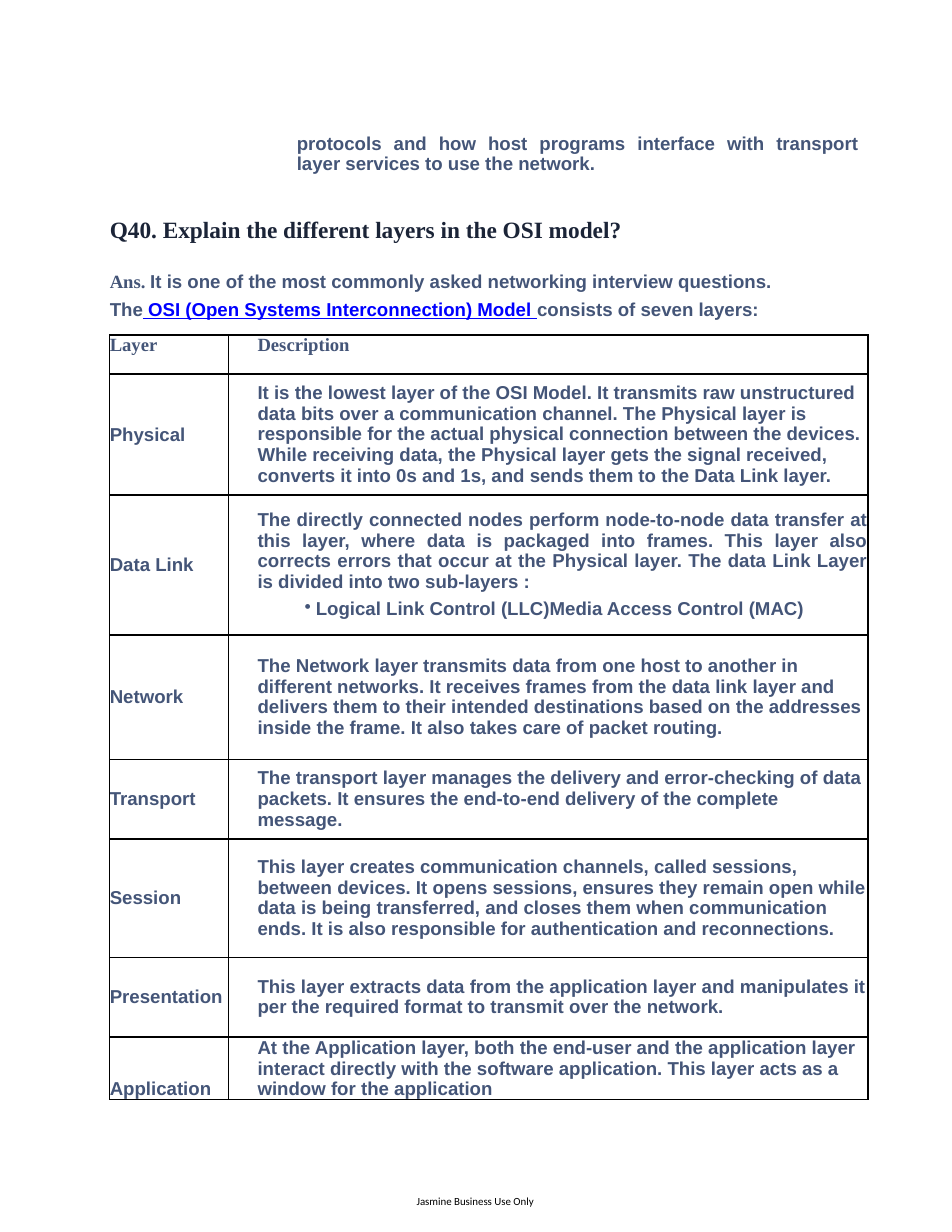
from lxml import etree
from pptx import Presentation
from pptx.dml.color import RGBColor
from pptx.enum.text import MSO_ANCHOR, MSO_AUTO_SIZE, PP_ALIGN
from pptx.oxml.ns import qn
from pptx.util import Inches, Pt

SLATE, NAVY, LINK, BLACK = "445578", "1B2437", "0000FF", "000000"
SANS, SERIF = "Arial", "Times New Roman"
LEFT = 0.98
LEADING = 13.2
DESCRIPTION_INDENT = 0.26
COLUMN_WIDTHS = [1.06, 5.71]
ROW_HEIGHTS = [0.35, 1.08, 1.25, 1.11, 0.71, 1.06, 0.71, 0.56]

LAYERS = [
    ("Physical", "It is the lowest layer of the OSI Model. It transmits raw unstructured data bits over a "
     "communication channel. The Physical layer is responsible for the actual physical connection between "
     "the devices. While receiving data, the Physical layer gets the signal received, converts it into 0s "
     "and 1s, and sends them to the Data Link layer."),
    ("Data Link", "The directly connected nodes perform node-to-node data transfer at this layer, where data "
     "is packaged into frames. This layer also corrects errors that occur at the Physical layer. The data "
     "Link Layer is divided into two sub-layers :"),
    ("Network", "The Network layer transmits data from one host to another in different networks. It receives "
     "frames from the data link layer and delivers them to their intended destinations based on the "
     "addresses inside the frame. It also takes care of packet routing."),
    ("Transport", "The transport layer manages the delivery and error-checking of data packets. It ensures "
     "the end-to-end delivery of the complete message."),
    ("Session", "This layer creates communication channels, called sessions, between devices. It opens "
     "sessions, ensures they remain open while data is being transferred, and closes them when "
     "communication ends. It is also responsible for authentication and reconnections."),
    ("Presentation", "This layer extracts data from the application layer and manipulates it per the required "
     "format to transmit over the network."),
    ("Application", "At the Application layer, both the end-user and the application layer interact directly "
     "with the software application. This layer acts as a window for the application"),
]
SUBLAYERS = "Logical Link Control (LLC)Media Access Control (MAC)"


def color(hex_value):
    return RGBColor.from_string(hex_value)


def style_font(font, face=SANS, size=12, hex_value=SLATE, bold=True):
    font.name, font.size, font.bold = face, Pt(size), bold
    font.color.rgb = color(hex_value)


def clear_margins(holder):
    """Remove the inner margins of a cell or text frame."""
    holder.margin_left = holder.margin_right = holder.margin_top = holder.margin_bottom = 0


def set_paragraph(paragraph, text, indent=0, leading=None, align=PP_ALIGN.LEFT, bullet=None, **font):
    paragraph.text = text
    paragraph.alignment = align
    if leading:
        paragraph.line_spacing = Pt(leading)
    hanging = 0.1 if bullet else 0
    properties = paragraph._p.get_or_add_pPr()
    properties.set("marL", str(Inches(indent + hanging)))
    properties.set("indent", str(-Inches(hanging)))
    if bullet:
        etree.SubElement(properties, qn("a:buChar"), char=bullet)
    style_font(paragraph.font, **font)


def add_text_frame(slide, left, top, width, height, wrap=True):
    box = slide.shapes.add_textbox(*map(Inches, (left, top, width, height)))
    frame = box.text_frame
    frame.word_wrap = wrap
    clear_margins(frame)
    return frame


def set_question(slide, text):
    title = slide.shapes.title
    title.left, title.top, title.width, title.height = map(Inches, (LEFT, 1.92, 6.19, 0.24))
    frame = title.text_frame
    frame.auto_size = MSO_AUTO_SIZE.NONE
    frame.vertical_anchor = MSO_ANCHOR.TOP
    clear_margins(frame)
    set_paragraph(frame.paragraphs[0], text, face=SERIF, size=15, hex_value=NAVY)


def add_answer(slide):
    paragraph = add_text_frame(slide, LEFT, 2.36, 6.19, 0.5).paragraphs[0]
    paragraph.line_spacing = Pt(18)
    for text, face, hex_value, underlined in [
        ("Ans. ", SERIF, SLATE, False),
        ("It is one of the most commonly asked networking interview questions. The", SANS, SLATE, False),
        (" OSI (Open Systems Interconnection) Model ", SANS, LINK, True),
        ("consists of seven layers:", SANS, SLATE, False),
    ]:
        run = paragraph.add_run()
        run.text = text
        style_font(run.font, face, hex_value=hex_value)
        run.font.underline = underlined


def add_borders(cell):
    properties = cell._tc.get_or_add_tcPr()
    for position, side in enumerate(("a:lnL", "a:lnR", "a:lnT", "a:lnB")):
        line = etree.Element(qn(side), w=str(Pt(1)))
        fill = etree.SubElement(line, qn("a:solidFill"))
        etree.SubElement(fill, qn("a:srgbClr"), val=BLACK)
        properties.insert(position, line)


def add_layer_table(slide):
    size = map(Inches, (LEFT, 2.99, sum(COLUMN_WIDTHS), sum(ROW_HEIGHTS)))
    table = slide.shapes.add_table(len(ROW_HEIGHTS), len(COLUMN_WIDTHS), *size).table
    table.first_row = table.horz_banding = False
    for column, width in zip(table.columns, COLUMN_WIDTHS):
        column.width = Inches(width)
    for row, height in zip(table.rows, ROW_HEIGHTS):
        row.height = Inches(height)

    anchors = [MSO_ANCHOR.TOP] + [MSO_ANCHOR.MIDDLE] * (len(LAYERS) - 1) + [MSO_ANCHOR.BOTTOM]
    for row, (texts, anchor) in enumerate(zip([("Layer", "Description")] + LAYERS, anchors)):
        for column, text in enumerate(texts):
            cell = table.cell(row, column)
            clear_margins(cell)
            cell.vertical_anchor = anchor
            cell.fill.background()
            add_borders(cell)
            set_paragraph(
                cell.text_frame.paragraphs[0], text,
                indent=DESCRIPTION_INDENT * column,
                leading=LEADING if row and column else None,
                align=PP_ALIGN.JUSTIFY if column and texts[0] == "Data Link" else PP_ALIGN.LEFT,
                face=SANS if row else SERIF,
            )
            if column and texts[0] == "Data Link":
                cell.text_frame.paragraphs[0].space_after = Pt(4.2)
                set_paragraph(cell.text_frame.add_paragraph(), SUBLAYERS, indent=0.68, bullet="•")


def main():
    deck = Presentation()
    deck.slide_width, deck.slide_height = Inches(8.5), Inches(11)
    slide = deck.slides.add_slide(deck.slide_layouts[5])

    carried_over = add_text_frame(slide, 2.65, 1.19, 5.02, 0.34)
    set_paragraph(
        carried_over.paragraphs[0],
        "protocols and how host programs interface with transport layer services to use the network.",
        leading=LEADING, align=PP_ALIGN.JUSTIFY,
    )
    set_question(slide, "Q40. Explain the different layers in the OSI model?")
    add_answer(slide)
    add_layer_table(slide)
    notice = add_text_frame(slide, 3.72, 10.67, 1.06, 0.12, wrap=False)
    set_paragraph(notice.paragraphs[0], "Jasmine Business Use Only",
                  face="Calibri", size=7, hex_value=BLACK, bold=False)
    deck.save("out.pptx")


if __name__ == "__main__":
    main()
